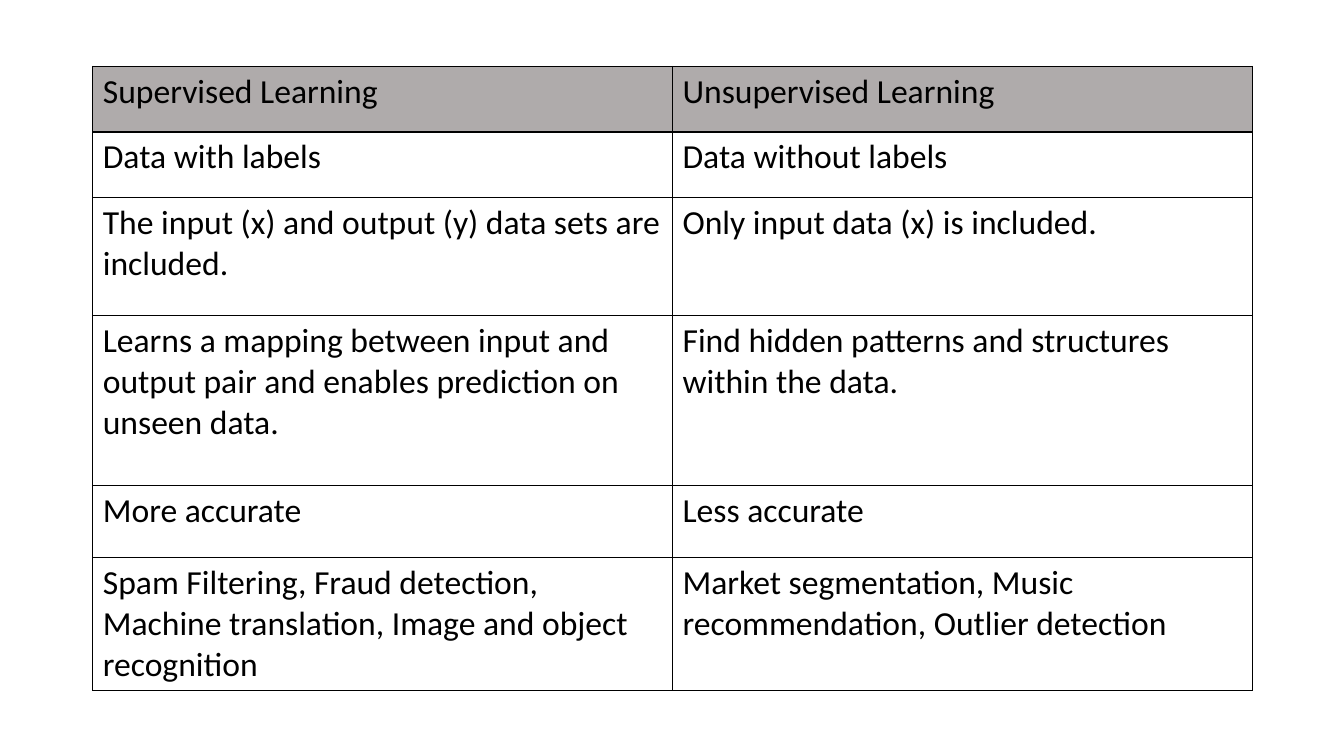
from lxml import etree
from pptx import Presentation
from pptx.dml.color import RGBColor
from pptx.oxml.ns import qn
from pptx.util import Inches, Pt

# Content
ROWS = [
    ("Supervised Learning", "Unsupervised Learning"),
    ("Data with labels", "Data without labels"),
    ("The input (x) and output (y) data sets are included.",
     "Only input data (x) is included."),
    ("Learns a mapping between input and output pair and enables prediction on unseen data.",
     "Find hidden patterns and structures within the data."),
    ("More accurate", "Less accurate"),
    ("Spam Filtering, Fraud detection, Machine translation, Image and object recognition",
     "Market segmentation, Music recommendation, Outlier detection"),
]

# Layout and format
LEFT, TOP, COL_WIDTH = 0.92, 0.66, 5.75
ROW_HEIGHTS = [0.65, 0.65, 1.17, 1.69, 0.71, 1.17]
BLACK = RGBColor(0x00, 0x00, 0x00)
HEADER_GRAY = RGBColor(0xAF, 0xAB, 0xAB)
FONT = {"name": "Calibri", "size": Pt(24), "bold": False}
BORDER_WIDTH = Pt(1)
BLANK_LAYOUT = 6


def add_borders(cell):
    tcPr = cell._tc.get_or_add_tcPr()
    for side in ("a:lnL", "a:lnR", "a:lnT", "a:lnB"):
        ln = etree.SubElement(tcPr, qn(side), w=str(BORDER_WIDTH))
        fill = etree.SubElement(ln, qn("a:solidFill"))
        etree.SubElement(fill, qn("a:srgbClr"), val=str(BLACK))


def fill_cell(cell, text, is_header):
    add_borders(cell)
    if is_header:
        cell.fill.solid()
        cell.fill.fore_color.rgb = HEADER_GRAY
    else:
        cell.fill.background()
    r = cell.text_frame.paragraphs[0].add_run()
    r.text = text
    for key, value in FONT.items():
        setattr(r.font, key, value)
    r.font.color.rgb = BLACK


def main():
    prs = Presentation()
    prs.slide_width, prs.slide_height = Inches(13.33), Inches(7.5)
    s = prs.slides.add_slide(prs.slide_layouts[BLANK_LAYOUT])

    # Comparison table
    n_cols = len(ROWS[0])
    table = s.shapes.add_table(
        len(ROWS), n_cols, Inches(LEFT), Inches(TOP),
        Inches(COL_WIDTH * n_cols), Inches(sum(ROW_HEIGHTS))).table
    table.first_row = table.horz_banding = False
    for col in table.columns:
        col.width = Inches(COL_WIDTH)
    for row, height in zip(table.rows, ROW_HEIGHTS):
        row.height = Inches(height)
    for i, texts in enumerate(ROWS):
        for j, text in enumerate(texts):
            fill_cell(table.cell(i, j), text, is_header=i == 0)

    prs.save("out.pptx")


if __name__ == "__main__":
    main()
